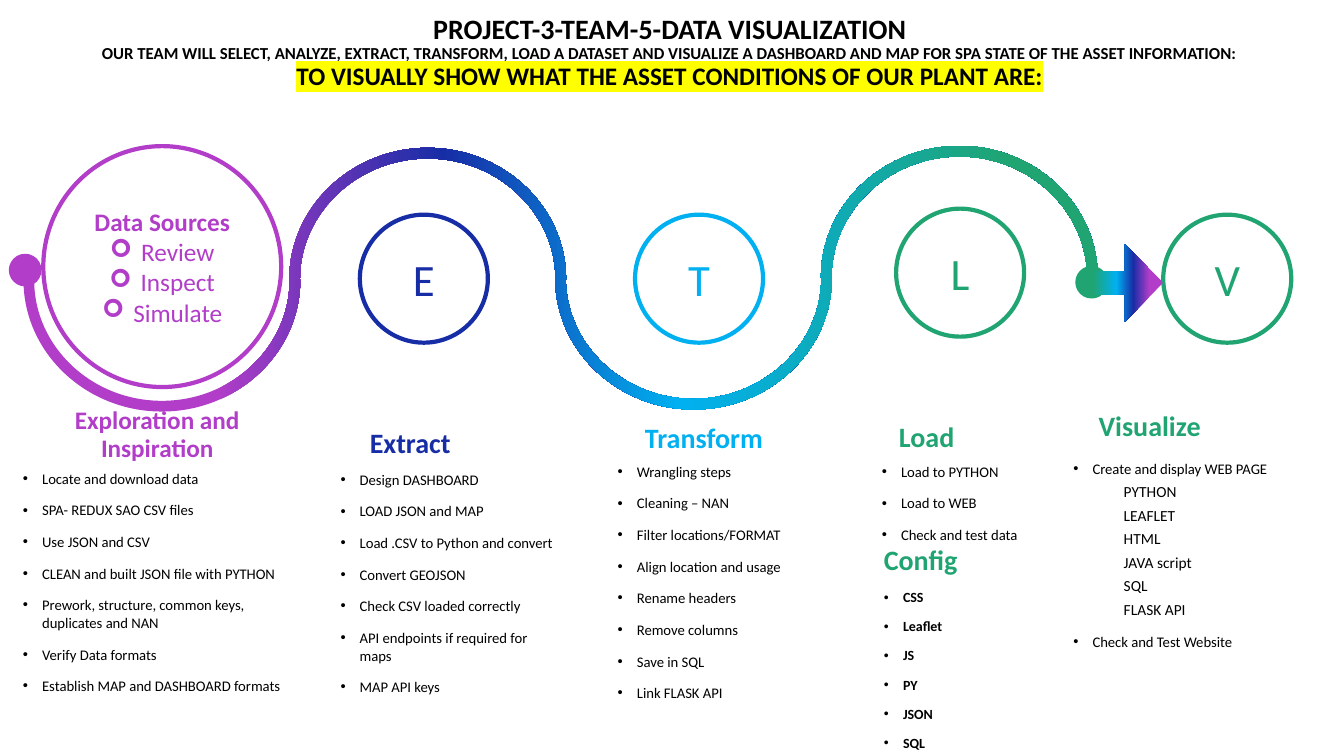
from copy import deepcopy
from dataclasses import dataclass

from lxml.etree import SubElement
from pptx import Presentation
from pptx.dml.color import RGBColor
from pptx.enum.shapes import MSO_SHAPE
from pptx.enum.text import MSO_ANCHOR, PP_ALIGN
from pptx.oxml.ns import qn
from pptx.util import Inches, Pt

CELL = Inches(0.1)
COLUMNS, ROWS = 133.33, 75
FONT = "Calibri"
BULLET_FONTS = {"•": "Arial", "➢": "Wingdings"}
BLACK = RGBColor(0x00, 0x00, 0x00)
WHITE = RGBColor(0xFF, 0xFF, 0xFF)
PURPLE = RGBColor(0xB1, 0x3D, 0xC8)
NAVY = RGBColor(0x17, 0x2D, 0xA6)
SKY = RGBColor(0x00, 0xB0, 0xF0)
GREEN = RGBColor(0x20, 0xA4, 0x72)
RAINBOW = [(0.18, PURPLE), (0.39, NAVY), (0.61, SKY), (0.92, GREEN)]
QUARTER_BEND = 0.55
ARC_POINTS = [(-1, 0), (-1, QUARTER_BEND), (-QUARTER_BEND, 1), (0, 1),
              (QUARTER_BEND, 1), (1, QUARTER_BEND), (1, 0)]


@dataclass(frozen=True)
class Area:
    column: float
    row: float
    columns: float
    rows: float

    def place(self) -> list[int]:
        return [round(cells * CELL) for cells in (self.column, self.row, self.columns, self.rows)]


@dataclass(frozen=True)
class Line:
    text: str
    size: float
    color: RGBColor = BLACK
    bold: bool = False
    bullet: str = ""
    indent: float = 0
    level: int = 0
    centered: bool = False
    spacing: float = 1
    before: float = 10


@dataclass(frozen=True)
class Circle:
    area: Area
    color: RGBColor
    fill: RGBColor
    weight: float
    lines: tuple[Line, ...] = ()


@dataclass(frozen=True)
class Block:
    area: Area
    lines: list[Line]


def heading(text: str, color: RGBColor, size: float = 20, centered: bool = False) -> Line:
    return Line(text, size, color, bold=True, centered=centered, spacing=0.9)


def bullets(*texts: str) -> list[Line]:
    return [Line(text, 10.5, bullet="•", indent=1.9) for text in texts]


def stage(column: float, row: float, letter: str, color: RGBColor) -> Circle:
    return Circle(Area(column, row, 12.7, 12.7), color, WHITE, 3,
                  (Line(letter, 32, color, centered=True),))


def dot(column: float, row: float, color: RGBColor) -> Circle:
    return Circle(Area(column, row, 2.4, 2.4), color, color, 6)


CIRCLES = [
    stage(35.7, 21.3, "E", NAVY),
    stage(63, 21.3, "T", SKY),
    stage(88.9, 20.7, "L", GREEN),
    stage(115.4, 21.3, "V", GREEN),
    Circle(Area(4.3, 14.5, 23.6, 23.9), PURPLE, WHITE, 3, (
        Line("Data Sources", 18, PURPLE, bold=True, centered=True),
        *(Line(text, 18, PURPLE, bullet="➢", indent=3.1, centered=True, before=0)
          for text in ("Review", "Inspect", "Simulate")))),
]
DOTS = [dot(1.3, 25.6, PURPLE), dot(107.1, 26.8, GREEN)]

BLOCKS = [
    Block(Area(4.3, 40, 22.6, 3.3),
          [heading("Exploration and Inspiration", PURPLE, 18, centered=True)]),
    Block(Area(1.3, 46.1, 27.7, 7.7), bullets(
        "Locate and download data", "SPA- REDUX SAO CSV files", "Use JSON and CSV",
        "CLEAN and built JSON file with PYTHON",
        "Prework, structure, common keys, duplicates and NAN",
        "Verify Data formats", "Establish MAP and DASHBOARD formats")),
    Block(Area(35.7, 42.1, 19.6, 3.3), [heading("Extract", NAVY)]),
    Block(Area(32.8, 46.2, 23.4, 7.7), bullets(
        "Design DASHBOARD", "LOAD JSON and MAP", "Load .CSV to Python and convert",
        "Convert GEOJSON", "Check CSV loaded correctly",
        "API endpoints if required for maps", "MAP API keys")),
    Block(Area(63, 41.6, 19.6, 3.3), [heading("Transform", SKY)]),
    Block(Area(60.3, 45.4, 24.5, 7.7), bullets(
        "Wrangling steps", "Cleaning – NAN", "Filter locations/FORMAT",
        "Align location and usage", "Rename headers", "Remove columns",
        "Save in SQL", "Link FLASK API")),
    Block(Area(88.2, 41.5, 19.6, 3.3), [heading("Load", GREEN)]),
    Block(Area(86.5, 45.4, 19.8, 7.7),
          bullets("Load to PYTHON", "Load to WEB", "Check and test data")),
    Block(Area(108, 40.4, 26.8, 3.3), [heading("Visualize", GREEN)]),
    Block(Area(105.5, 45.1, 27, 7.7), [
        *bullets("Create and display WEB PAGE"),
        *(Line(text, 11, indent=5, level=1, spacing=0.9, before=5)
          for text in ("PYTHON", "LEAFLET", "HTML", "JAVA script", "SQL", "FLASK API")),
        *bullets("Check and Test Website")]),
    Block(Area(86.7, 53.7, 19.6, 3.3), [
        heading("Config", GREEN),
        *(Line(text, 10, bold=True, bullet="•", indent=1.9, spacing=0.9)
          for text in ("CSS", "Leaflet", "JS", "PY", "JSON", "SQL"))]),
]

TITLE_AREA = Area(2.3, 1, 128.3, 10.3)
TITLE = [
    ("PROJECT-3-TEAM-5-DATA VISUALIZATION", 20),
    ("OUR TEAM WILL SELECT, ANALYZE, EXTRACT, TRANSFORM, LOAD A DATASET AND VISUALIZE "
     "A DASHBOARD AND MAP FOR SPA STATE OF THE ASSET INFORMATION:", 12),
    ("TO VISUALLY SHOW WHAT THE ASSET CONDITIONS OF OUR PLANT ARE:", 18),
]


def write(frame, lines) -> None:
    frame.word_wrap = True
    for index, line in enumerate(lines):
        para = frame.add_paragraph() if index else frame.paragraphs[0]
        para.add_run().text = line.text
        properties = para._p.get_or_add_pPr()
        if line.indent:
            properties.set("marL", str(round(line.indent * CELL)))
        if line.bullet:
            properties.set("indent", str(-round(line.indent * CELL)))
            SubElement(properties, qn("a:buFont")).set("typeface", BULLET_FONTS[line.bullet])
            SubElement(properties, qn("a:buChar")).set("char", line.bullet)
        para.level = line.level
        para.alignment = PP_ALIGN.CENTER if line.centered else PP_ALIGN.LEFT
        para.line_spacing = line.spacing
        para.space_before = Pt(line.before if index else 0)
        font = para.font
        font.name, font.size, font.bold = FONT, Pt(line.size), line.bold
        font.color.rgb = line.color


def draw_circle(page, circle: Circle) -> None:
    shape = page.shapes.add_shape(MSO_SHAPE.OVAL, *circle.area.place())
    shape.shadow.inherit = False
    shape.fill.solid()
    shape.fill.fore_color.rgb = circle.fill
    shape.line.color.rgb = circle.color
    shape.line.width = Pt(circle.weight)
    shape.text_frame.vertical_anchor = MSO_ANCHOR.MIDDLE
    write(shape.text_frame, circle.lines)


def paint_rainbow(shape, angle: float) -> None:
    shape.shadow.inherit = False
    shape.line.fill.background()
    shape.fill.gradient()
    shape.fill.gradient_angle = angle
    stops = shape._element.spPr.find(qn("a:gradFill")).find(qn("a:gsLst"))
    for _ in RAINBOW[2:]:
        stops.append(deepcopy(stops[0]))
    for stop, (position, color) in zip(shape.fill.gradient_stops, RAINBOW):
        stop.position = position
        stop.color.rgb = color


def ribbon_edge(side: int) -> list[tuple[int, int]]:
    points = []
    for arc in range(4):
        direction = 1 if arc % 2 == 0 else -1
        offset = 0.53 * side * direction
        for across, along in ARC_POINTS:
            column = 16.06 + 26.37 * arc + (13.2 + offset) * across
            row = 27.8 - 0.1 * arc + direction * (12.5 + offset) * along
            points.append((round(column * CELL), round(row * CELL)))
    return points


def draw_ribbon(page) -> None:
    outline = ribbon_edge(1) + ribbon_edge(-1)[::-1]
    builder = page.shapes.build_freeform(*outline[0])
    builder.add_line_segments(outline[1:], close=True)
    ribbon = builder.convert_to_shape()
    route = next(ribbon._element.iter(qn("a:path")))
    nodes = list(route)
    for start in range(0, len(outline), len(ARC_POINTS)):
        for first in (start + 1, start + 4):
            curve, *others = nodes[first:first + 3]
            curve.tag = qn("a:cubicBezTo")
            for node in others:
                curve.append(node[0])
                route.remove(node)
    paint_rainbow(ribbon, 0)


def draw_arrow(page) -> None:
    arrow = page.shapes.add_shape(MSO_SHAPE.RIGHT_ARROW, *Area(107.8, 24.2, 7.6, 7.7).place())
    arrow.adjustments[0] = 0.3
    paint_rainbow(arrow, 180)


def draw_title(page) -> None:
    frame = page.shapes.add_textbox(*TITLE_AREA.place()).text_frame
    frame.word_wrap = True
    para = frame.paragraphs[0]
    para.alignment, para.line_spacing = PP_ALIGN.CENTER, 0.9
    para.font.name, para.font.bold = FONT, True
    para.font.color.rgb = BLACK
    for index, (text, size) in enumerate(TITLE):
        if index:
            para.add_line_break()
        span = para.add_run()
        span.text, span.font.size = text, Pt(size)
    highlight = SubElement(span._r.get_or_add_rPr(), qn("a:highlight"))
    SubElement(highlight, qn("a:srgbClr")).set("val", "FFFF00")


def main() -> None:
    deck = Presentation()
    deck.slide_width, deck.slide_height = round(COLUMNS * CELL), ROWS * CELL
    page = deck.slides.add_slide(deck.slide_layouts[6])
    for circle in CIRCLES:
        draw_circle(page, circle)
    draw_ribbon(page)
    for end in DOTS:
        draw_circle(page, end)
    draw_arrow(page)
    for block in BLOCKS:
        write(page.shapes.add_textbox(*block.area.place()).text_frame, block.lines)
    draw_title(page)
    deck.save("out.pptx")


if __name__ == "__main__":
    main()
